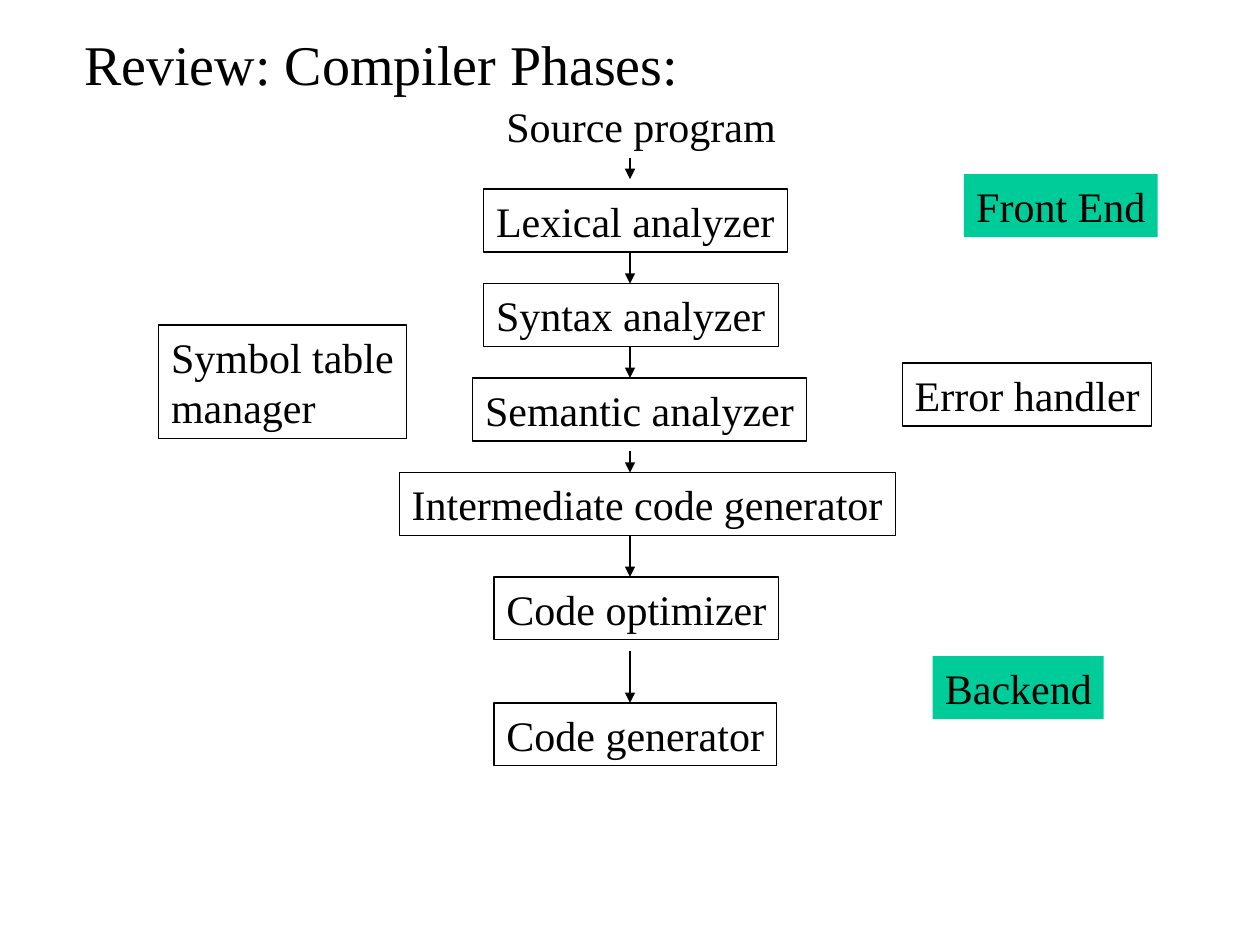
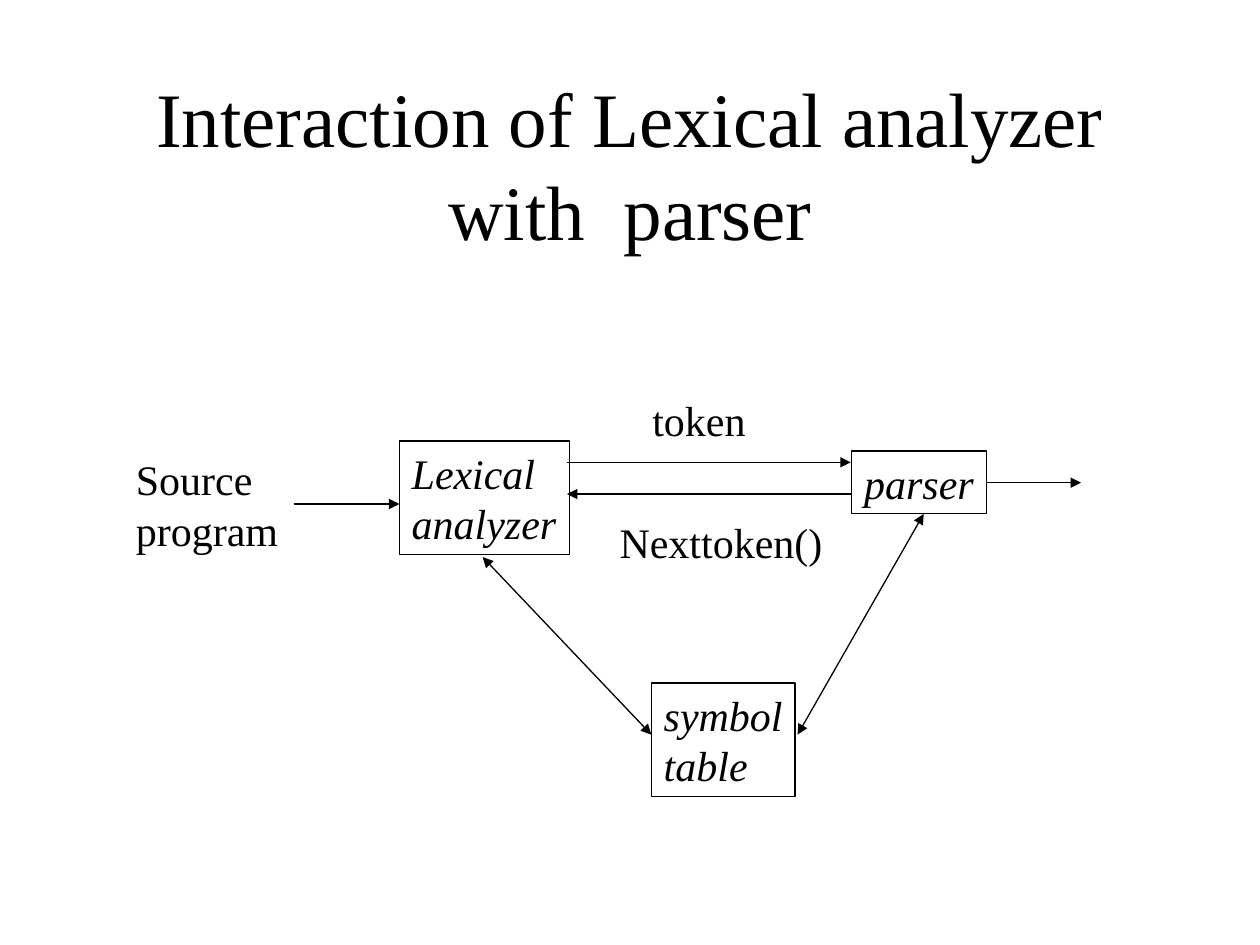
"""Build two slides on compiler phases and the lexical analyzer."""
from lxml import etree
from pptx import Presentation
from pptx.dml.color import RGBColor
from pptx.enum.shapes import MSO_CONNECTOR, MSO_SHAPE
from pptx.enum.text import MSO_ANCHOR, PP_ALIGN
from pptx.oxml.ns import qn
from pptx.util import Cm, Pt

RECT = MSO_SHAPE.RECTANGLE
STRAIGHT = MSO_CONNECTOR.STRAIGHT
TOP, MIDDLE = MSO_ANCHOR.TOP, MSO_ANCHOR.MIDDLE
LEFT, CENTER = PP_ALIGN.LEFT, PP_ALIGN.CENTER
rgb = RGBColor.from_string
BLACK, GREEN = "000000", "00CC99"
FONT = "Times New Roman"
LINE_W = Pt(0.74)
HEIGHTS = {1: 1.27, 2: 2.29}


def add_text(s, text, x, y, w, h=None, size=24, fill=None, border=False,
             italic=False, title=False):
    h = h or HEIGHTS[len(text.split("\n"))]
    box = Cm(x), Cm(y), Cm(w), Cm(h)
    if fill or border:
        sp = s.shapes.add_shape(RECT, *box)
        sp.shadow.inherit = False
        if fill:
            sp.fill.solid()
            sp.fill.fore_color.rgb = rgb(fill)
        else:
            sp.fill.background()
        if border:
            sp.line.color.rgb = rgb(BLACK)
            sp.line.width = LINE_W
        else:
            sp.line.fill.background()
    else:
        sp = s.shapes.add_textbox(*box)
    tf = sp.text_frame
    tf.word_wrap = title
    tf.vertical_anchor = MIDDLE if title else TOP
    tf.text = text
    for p in tf.paragraphs:
        p.alignment = CENTER if title else LEFT
        for r in p.runs:
            r.font.name = FONT
            r.font.size = Pt(size)
            r.font.italic = italic
            r.font.color.rgb = rgb(BLACK)


def add_arrow(s, x1, y1, x2, y2, both=False):
    c = s.shapes.add_connector(STRAIGHT, Cm(x1), Cm(y1), Cm(x2), Cm(y2))
    c.line.color.rgb = rgb(BLACK)
    c.line.width = LINE_W
    ln = c.line._get_or_add_ln()
    for end in ("a:headEnd", "a:tailEnd") if both else ("a:tailEnd",):
        etree.SubElement(ln, qn(end), type="triangle")
    etree.SubElement(c._element.spPr, qn("a:effectLst"))


prs = Presentation()
prs.slide_width, prs.slide_height = Cm(25.4), Cm(19.05)
blank = prs.slide_layouts[6]

s = prs.slides.add_slide(blank)
add_text(s, "Review: Compiler Phases:", 1.45, 0.48, 12.5, 1.63, size=32)
add_text(s, "Source program", 9.96, 1.9, 5.94)
for text, x, y, w in [
    ("Lexical analyzer", 9.75, 3.81, 6.12),
    ("Syntax analyzer", 9.75, 5.72, 5.94),
    ("Semantic analyzer", 9.53, 7.62, 6.73),
    ("Intermediate code generator", 8.05, 9.53, 10.01),
    ("Code optimizer", 9.96, 11.63, 5.74),
    ("Code generator", 9.96, 14.17, 5.69),
    ("Symbol table\nmanager", 3.2, 6.55, 5),
    ("Error handler", 18.19, 7.32, 5.03),
]:
    add_text(s, text, x, y, w, border=True)
for y1, y2 in [(3.18, 3.61), (5.08, 5.72), (6.99, 7.62),
               (9.09, 9.53), (10.8, 11.63), (13.13, 14.17)]:
    add_arrow(s, 12.7, y1, 12.7, y2)
add_text(s, "Front End", 19.43, 3.51, 3.91, fill=GREEN)
add_text(s, "Backend", 18.8, 13.23, 3.45, fill=GREEN)

s = prs.slides.add_slide(blank)
add_text(s, "Interaction of Lexical analyzer with  parser",
         1.91, 1.7, 21.59, 3.18, size=44, title=True)
for text, x, y, w in [
    ("Lexical\nanalyzer", 8.05, 8.89, 3.43),
    ("symbol\ntable", 13.13, 13.77, 2.9),
    ("parser", 17.17, 9.09, 2.72),
]:
    add_text(s, text, x, y, w, border=True, italic=True)
for text, x, y, w in [
    ("Source\nprogram", 2.49, 9.02, 3.38),
    ("token", 12.9, 7.82, 2.39),
    ("Nexttoken()", 12.24, 10.29, 4.6),
]:
    add_text(s, text, x, y, w)
for x1, x2, y in [(5.92, 8.05, 10.16), (11.43, 17.15, 9.32),
                  (17.15, 11.43, 9.96), (19.89, 21.79, 9.73)]:
    add_arrow(s, x1, y, x2, y)
add_arrow(s, 9.73, 11.23, 13.13, 14.81, both=True)
add_arrow(s, 16.08, 14.81, 18.62, 10.36, both=True)

prs.save("out.pptx")
